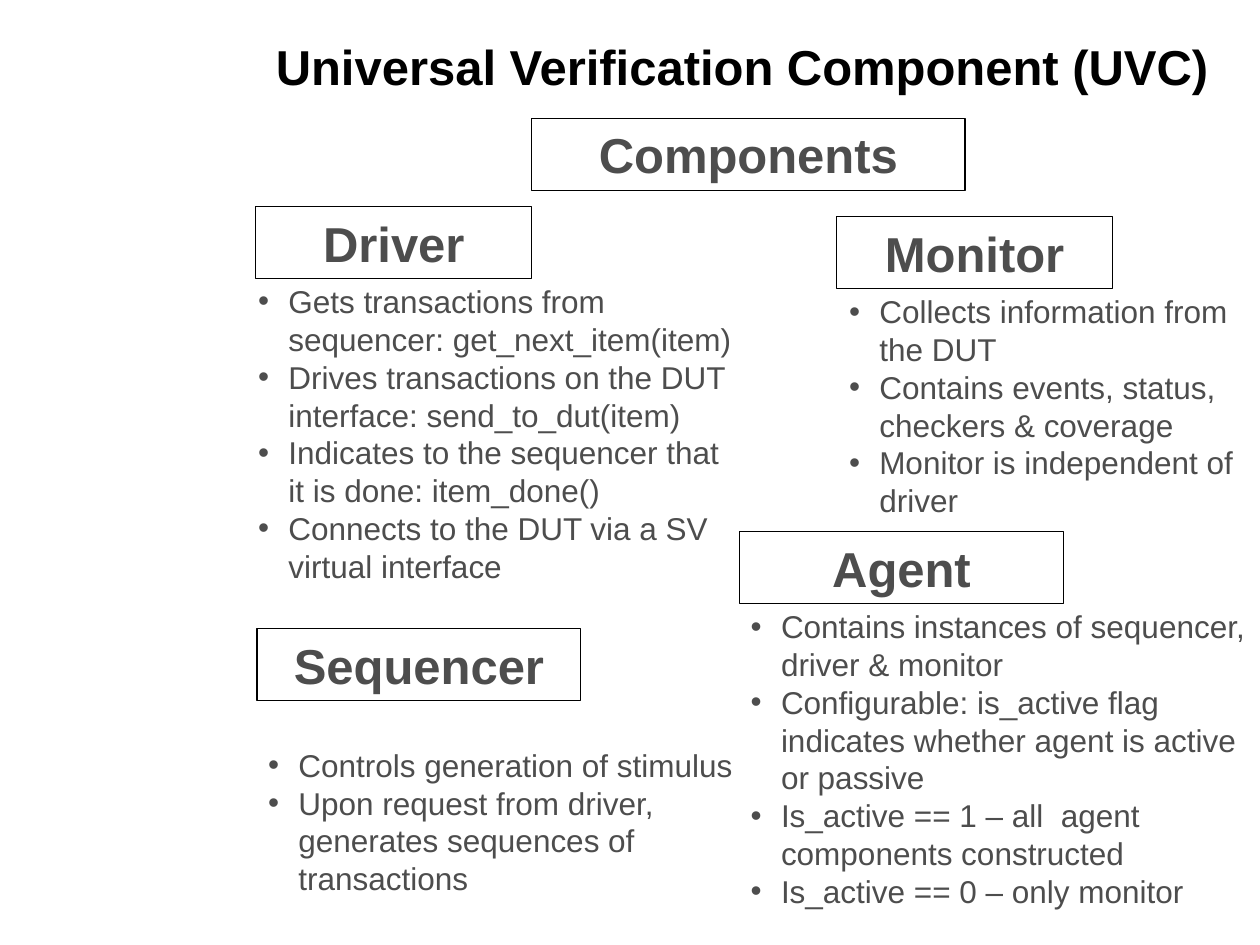
from dataclasses import dataclass

from lxml.etree import SubElement
from pptx import Presentation
from pptx.dml.color import RGBColor
from pptx.enum.shapes import MSO_SHAPE as Shape
from pptx.enum.text import MSO_ANCHOR as Anchor, PP_ALIGN as Align
from pptx.oxml.ns import qn
from pptx.util import Inches, Pt


@dataclass(frozen=True)
class Theme:
    font: str = "Arial"
    black: RGBColor = RGBColor(0, 0, 0)
    grey: RGBColor = RGBColor(0x4D, 0x4D, 0x4D)
    heading_size: int = 28
    body_size: int = 18
    border: float = 0.75


THEME = Theme()
HEADING_HEIGHT = 0.57
BULLET_INDENT = 0.24

TITLE = ("Universal Verification Component (UVC)", (2.09, 0.13, 7.72, 0.79))

# Heading, then its left, top and width
OVERVIEW = ("Components", (4.22, 0.94, 3.44))

# Heading, its left, top and width; then bullets and their left, top, width and height
COMPONENTS = [
    ("Driver", (2.03, 1.64, 2.19), [
        "Gets transactions from sequencer: get_next_item(item)",
        "Drives transactions on the DUT interface: send_to_dut(item)",
        "Indicates to the sequencer that it is done: item_done()",
        "Connects to the DUT via a SV virtual interface",
    ], (1.95, 2.19, 3.98, 2.52)),
    ("Monitor", (6.64, 1.72, 2.19), [
        "Collects information from the DUT",
        "Contains events, status, checkers & coverage",
        "Monitor is independent of driver",
    ], (6.64, 2.27, 3.28, 1.92)),
    ("Sequencer", (2.04, 4.99, 2.57), [
        "Controls generation of stimulus",
        "Upon request from driver, generates sequences of transactions",
    ], (2.03, 5.87, 4.22, 1.31)),
    ("Agent", (5.87, 4.22, 2.57), [
        "Contains instances of sequencer, driver & monitor",
        "Configurable: is_active flag indicates whether agent is active or passive",
        "Is_active == 1 – all  agent components constructed",
        "Is_active == 0 – only monitor",
    ], (5.86, 4.77, 4.22, 2.52)),
]


def write(paragraph, text, size, color, bold=False, align=Align.LEFT):
    paragraph.text = text
    paragraph.alignment = align
    font = paragraph.font
    font.name, font.size, font.bold = THEME.font, Pt(size), bold
    font.color.rgb = color


def add_text_frame(slide, place, anchor=Anchor.TOP):
    frame = slide.shapes.add_textbox(*map(Inches, place)).text_frame
    frame.word_wrap = True
    frame.vertical_anchor = anchor
    return frame


def add_title(slide, text, place):
    frame = add_text_frame(slide, place, Anchor.MIDDLE)
    write(frame.paragraphs[0], text, THEME.heading_size, THEME.black, bold=True)


def add_heading(slide, text, place):
    box = slide.shapes.add_shape(Shape.RECTANGLE, *map(Inches, (*place, HEADING_HEIGHT)))
    box.shadow.inherit = False
    box.fill.background()
    box.line.color.rgb = THEME.black
    box.line.width = Pt(THEME.border)
    write(box.text_frame.paragraphs[0], text, THEME.heading_size, THEME.grey,
          bold=True, align=Align.CENTER)


def add_bullets(slide, points, place):
    frame = add_text_frame(slide, place)
    for index, point in enumerate(points):
        paragraph = frame.add_paragraph() if index else frame.paragraphs[0]
        write(paragraph, point, THEME.body_size, THEME.grey)
        set_bullet(paragraph)


def set_bullet(paragraph):
    """Give the paragraph a hanging indent and a round bullet.

    The bullet elements must come before the default run properties.
    """
    properties = paragraph._p.get_or_add_pPr()
    indent = Inches(BULLET_INDENT)
    properties.set("marL", str(indent))
    properties.set("indent", str(-indent))
    bullet_font = SubElement(properties, qn("a:buFont"), typeface=THEME.font)
    bullet = SubElement(properties, qn("a:buChar"), char="•")
    run_defaults = properties.find(qn("a:defRPr"))
    run_defaults.addprevious(bullet_font)
    run_defaults.addprevious(bullet)


def main():
    deck = Presentation()
    deck.slide_width, deck.slide_height = Inches(10), Inches(7.5)
    slide = deck.slides.add_slide(deck.slide_layouts[6])
    add_title(slide, *TITLE)
    add_heading(slide, *OVERVIEW)
    for heading, heading_place, points, points_place in COMPONENTS:
        add_heading(slide, heading, heading_place)
        add_bullets(slide, points, points_place)
    deck.save("out.pptx")


if __name__ == "__main__":
    main()
